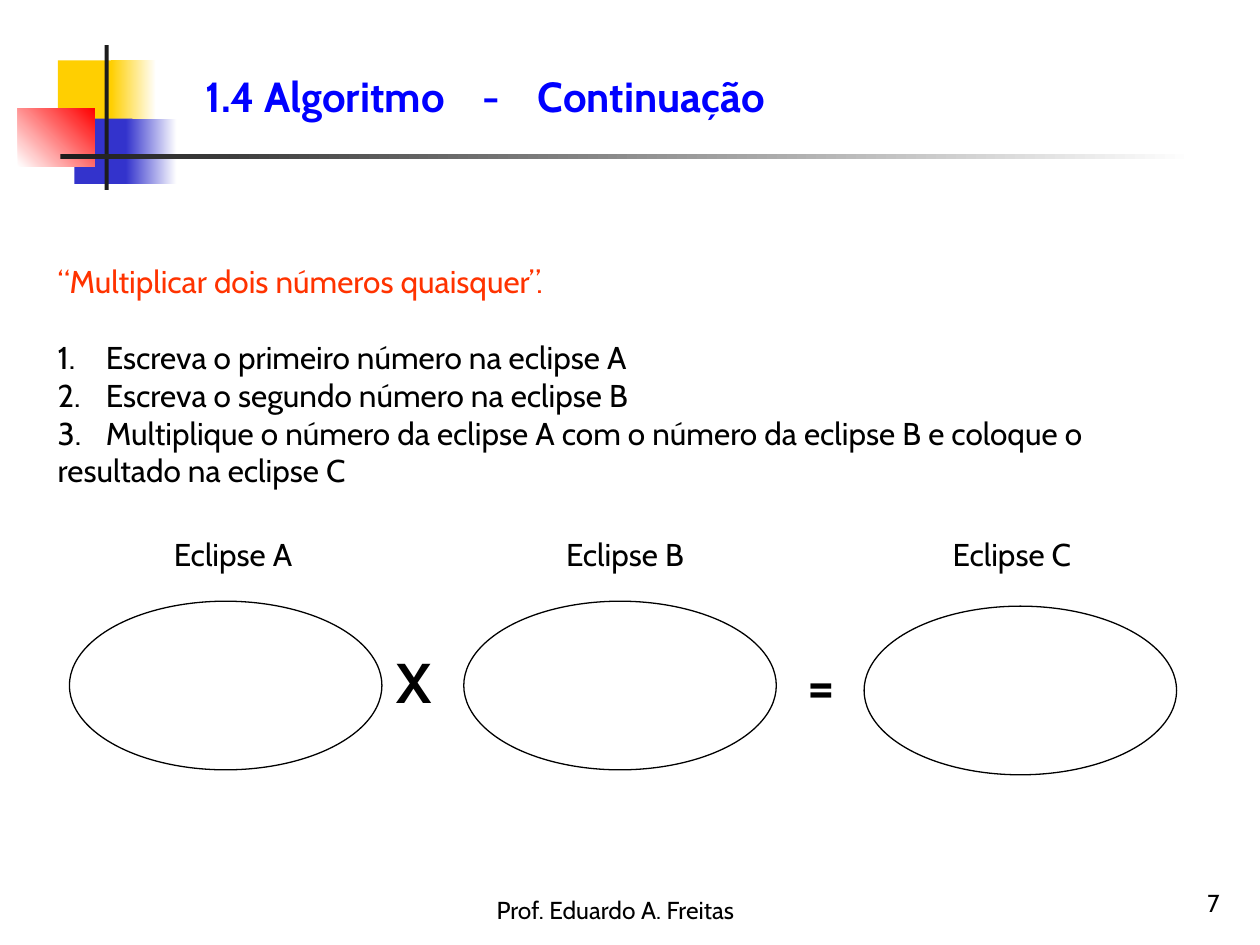
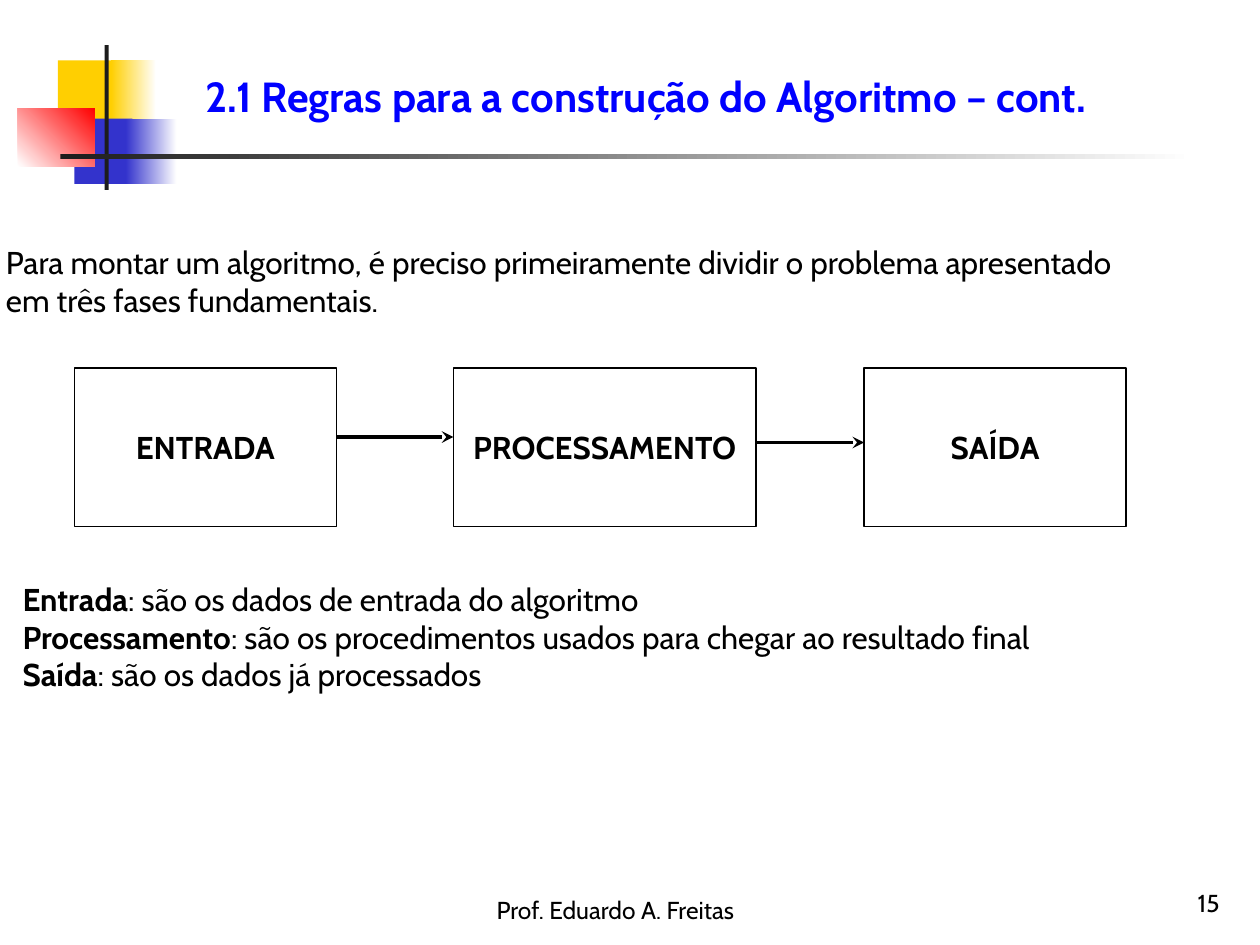
from lxml.etree import SubElement
from pptx import Presentation
from pptx.dml.color import RGBColor
from pptx.enum.shapes import MSO_CONNECTOR, MSO_SHAPE
from pptx.enum.text import MSO_ANCHOR, MSO_AUTO_SIZE, PP_ALIGN
from pptx.oxml.ns import qn
from pptx.util import Cm, Pt

FONT = "Cabin"
BLACK, WHITE, DARK = "000000", "FFFFFF", "1C1C1C"
BLUE, ORANGE = "0000FF", "FF3300"
YELLOW, INDIGO, RED = "FFCF01", "3333CC", "FF0000"
AUTHOR = "Prof. Eduardo A. Freitas"


def rgb(value):
    return RGBColor.from_string(value)


class Deck:
    def __init__(self):
        self.prs = Presentation()
        self.prs.slide_width, self.prs.slide_height = Cm(25.4), Cm(19.05)
        self.s = None

    def new_slide(self, title, width, number, tabs=()):
        self.s = self.prs.slides.add_slide(self.prs.slide_layouts[1])
        if len(self.prs.slides) == 1:
            self.decorate_master()
        sp = self.place(self.s.shapes.title, 3.89, 1.3, width, 1.27)
        p = self.add_text(sp.text_frame, [title], size=24, bold=True, color=BLUE)[0]
        if tabs:
            tab_list = SubElement(p._p.get_or_add_pPr(), qn("a:tabLst"))
            for pos in tabs:
                SubElement(tab_list, qn("a:tab"), pos=str(Cm(pos)), algn="l")
        self.text([AUTHOR], 8.38, 17.5, 8.05, 1.27, size=14,
                  align=PP_ALIGN.CENTER, anchor=MSO_ANCHOR.BOTTOM)
        self.text([number], 19.56, 17.35, 5.28, 1.27, size=14,
                  align=PP_ALIGN.RIGHT, anchor=MSO_ANCHOR.BOTTOM)

    def decorate_master(self):
        group = self.s.shapes.add_group_shape()
        for x, y, w, h, colors, angle in (
            (1.17, 1.22, 1.22, 1.32, [YELLOW], 0),
            (2.24, 1.22, 0.91, 1.32, [YELLOW, WHITE], 0),
            (1.5, 2.39, 1.17, 1.32, [INDIGO], 0),
            (2.54, 2.39, 1.02, 1.32, [INDIGO, WHITE], 0),
            (0.36, 2.18, 1.55, 1.17, [WHITE, RED], 45),
            (2.11, 0.91, 0.08, 2.92, [DARK], 0),
            (1.22, 3.1, 22.86, 0.1, [DARK, WHITE], 0),
        ):
            sp = group.shapes.add_shape(MSO_SHAPE.RECTANGLE, Cm(x), Cm(y), Cm(w), Cm(h))
            sp.shadow.inherit = False
            sp.line.fill.background()
            if len(colors) == 1:
                sp.fill.solid()
                sp.fill.fore_color.rgb = rgb(colors[0])
                continue
            sp.fill.gradient()
            sp.fill.gradient_angle = angle
            for stop, color, position in zip(sp.fill.gradient_stops, colors, (0, 1)):
                stop.color.rgb = rgb(color)
                stop.position = position
        for shape_id, props in enumerate(group.element.iter(qn("p:cNvPr")), 100):
            props.set("id", str(shape_id))
        self.prs.slide_master.shapes.element.insert(2, group.element)

    def place(self, sp, x, y, w, h):
        sp.left, sp.top, sp.width, sp.height = Cm(x), Cm(y), Cm(w), Cm(h)
        return sp

    def add_text(self, tf, paragraphs, size=18, bold=False, color=BLACK,
                 align=PP_ALIGN.LEFT, anchor=MSO_ANCHOR.TOP, wrap=True):
        tf.word_wrap = wrap
        tf.auto_size = MSO_AUTO_SIZE.NONE
        tf.vertical_anchor = anchor
        for i, runs in enumerate(paragraphs):
            p = tf.paragraphs[0] if i == 0 else tf.add_paragraph()
            p.alignment = align
            p.space_before = Pt(0)
            for run in [(runs, bold)] if isinstance(runs, str) else runs:
                r = p.add_run()
                r.text, r.font.bold = run
                r.font.name, r.font.size = FONT, Pt(size)
                r.font.color.rgb = rgb(color)
        return tf.paragraphs

    def text(self, paragraphs, x, y, w, h, **style):
        sp = self.s.shapes.add_textbox(Cm(x), Cm(y), Cm(w), Cm(h))
        self.add_text(sp.text_frame, paragraphs, **style)

    def body(self, paragraphs, x, y, w, h, numbered=()):
        sp = self.place(self.s.placeholders[1], x, y, w, h)
        ps = self.add_text(sp.text_frame, paragraphs)
        for i, p in enumerate(ps):
            hang = Cm(0.97) if i in numbered else 0
            pPr = p._p.get_or_add_pPr()
            pPr.set("marL", str(hang))
            pPr.set("indent", str(-hang))
            if hang:
                SubElement(pPr, qn("a:buFont"), typeface=FONT)
                SubElement(pPr, qn("a:buAutoNum"), type="arabicPeriod")
            else:
                SubElement(pPr, qn("a:buNone"))
        return ps

    def shape(self, kind, x, y, w, h, label=None):
        sp = self.s.shapes.add_shape(kind, Cm(x), Cm(y), Cm(w), Cm(h))
        sp.shadow.inherit = False
        sp.fill.solid()
        sp.fill.fore_color.rgb = rgb(WHITE)
        sp.line.color.rgb = rgb(BLACK)
        sp.line.width = Pt(0.75)
        if label:
            self.add_text(sp.text_frame, [label], bold=True, align=PP_ALIGN.CENTER,
                          anchor=MSO_ANCHOR.MIDDLE, wrap=False)

    def arrow(self, x1, x2, y):
        c = self.s.shapes.add_connector(MSO_CONNECTOR.STRAIGHT, Cm(x1), Cm(y), Cm(x2), Cm(y))
        c.line.color.rgb = rgb(BLACK)
        c.line.width = Pt(2.25)
        spPr = c.element.spPr
        SubElement(spPr.find(qn("a:ln")), qn("a:tailEnd"), type="stealth")
        SubElement(spPr, qn("a:effectLst"))


def multiplication_slide(deck):
    deck.new_slide("1.4 Algoritmo\t-\tContinuação", 13.56, "7", tabs=(5.59, 6.7))
    ps = deck.body([
        "“Multiplicar dois números quaisquer”.",
        "Escreva o primeiro número na eclipse A",
        "Escreva o segundo número na eclipse B",
        "Multiplique o número da eclipse A com o número da eclipse B e coloque o",
        "resultado na eclipse C",
    ], 0.91, 5.16, 23.65, 4.83, numbered=(1, 2, 3))
    ps[0].runs[0].font.color.rgb = rgb(ORANGE)
    ps[1].space_before = Pt(21.7)
    for letter, x, y, label_x in (("A", 1.4, 12.12, 3.15),
                                  ("B", 9.35, 12.12, 11.05),
                                  ("C", 17.42, 12.22, 18.85)):
        deck.shape(MSO_SHAPE.OVAL, x, y, 6.3, 3.4)
        deck.text([f"Eclipse {letter}"], label_x, 10.67, 3.1, 1.02,
                  align=PP_ALIGN.CENTER, wrap=False)
    for sign, x, y in (("X", 7.72, 12.93), ("=", 15.93, 12.98)):
        deck.text([sign], x, y, 1.24, 1.63, size=32, bold=True,
                  align=PP_ALIGN.CENTER, wrap=False)


def phases_slide(deck):
    deck.new_slide("2.1 Regras para a construção do Algoritmo – cont.", 21.44, "15")
    deck.text([
        "Para montar um algoritmo, é preciso primeiramente dividir o problema apresentado",
        "em três fases fundamentais.",
    ], -0.13, 4.78, 25.91, 1.78)
    for phase, x, w in (("ENTRADA", 1.5, 5.28), ("PROCESSAMENTO", 9.14, 6.1),
                        ("SAÍDA", 17.42, 5.28)):
        deck.shape(MSO_SHAPE.RECTANGLE, x, 7.42, w, 3.2, phase)
    deck.arrow(6.78, 9.14, 8.81)
    deck.arrow(15.24, 17.42, 8.92)
    definitions = (
        ("Entrada", "são os dados de entrada do algoritmo"),
        ("Processamento", "são os procedimentos usados para chegar ao resultado final"),
        ("Saída", "são os dados já processados"),
    )
    deck.body([[(term, True), (f": {meaning}", False)] for term, meaning in definitions],
              0.2, 11.56, 23.72, 2.54)


def main():
    deck = Deck()
    multiplication_slide(deck)
    phases_slide(deck)
    deck.prs.save("out.pptx")


if __name__ == "__main__":
    main()
